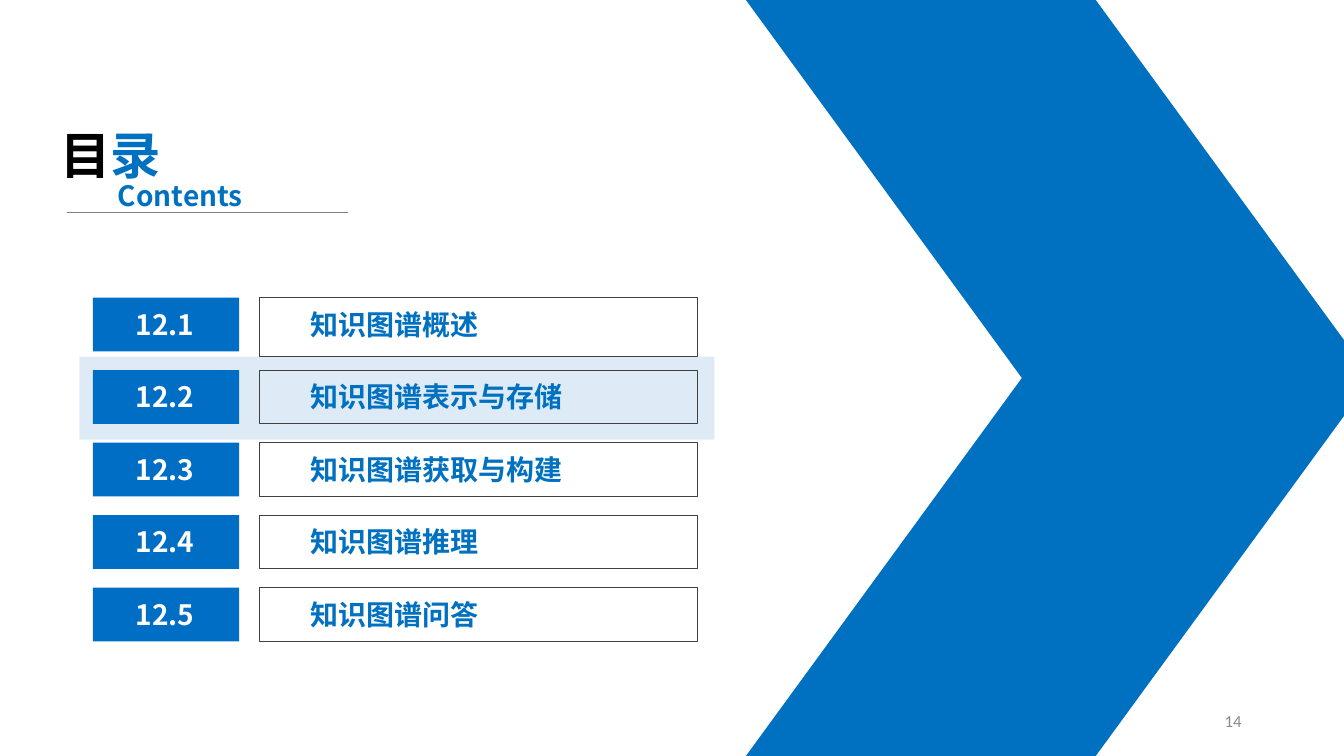
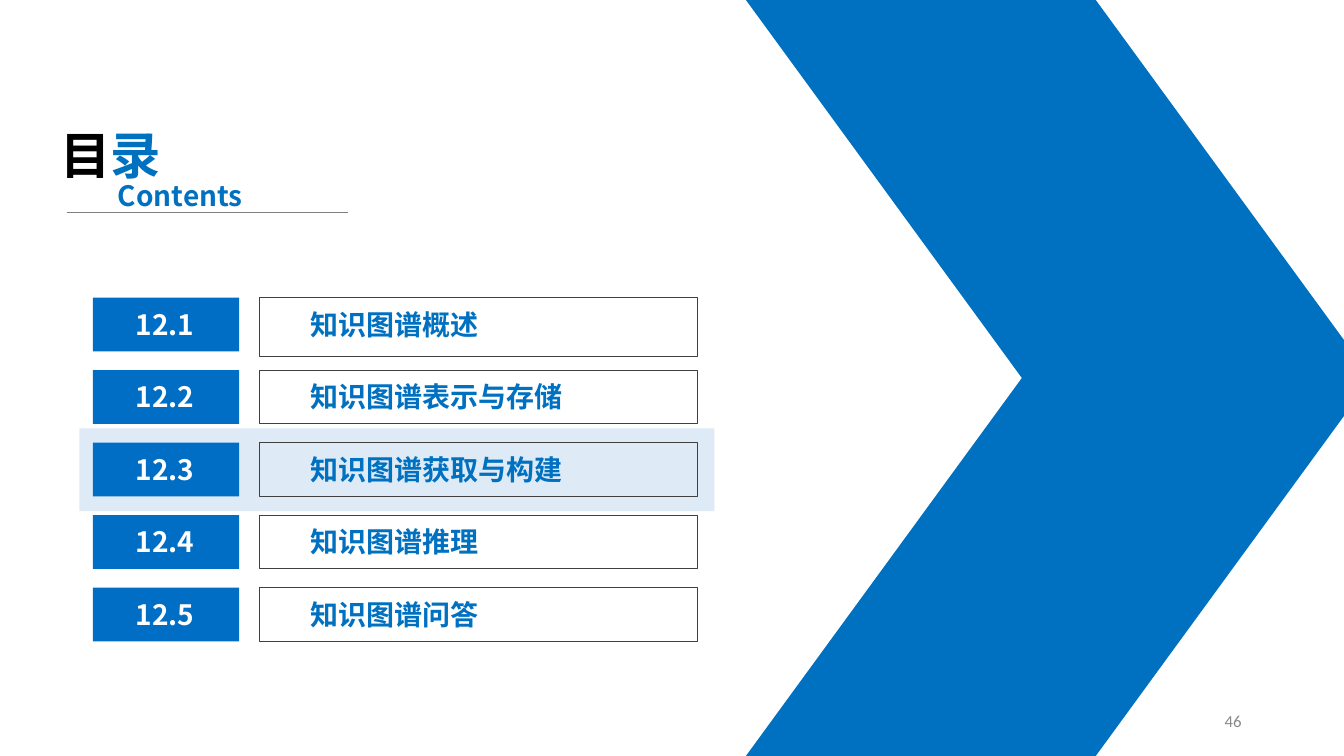
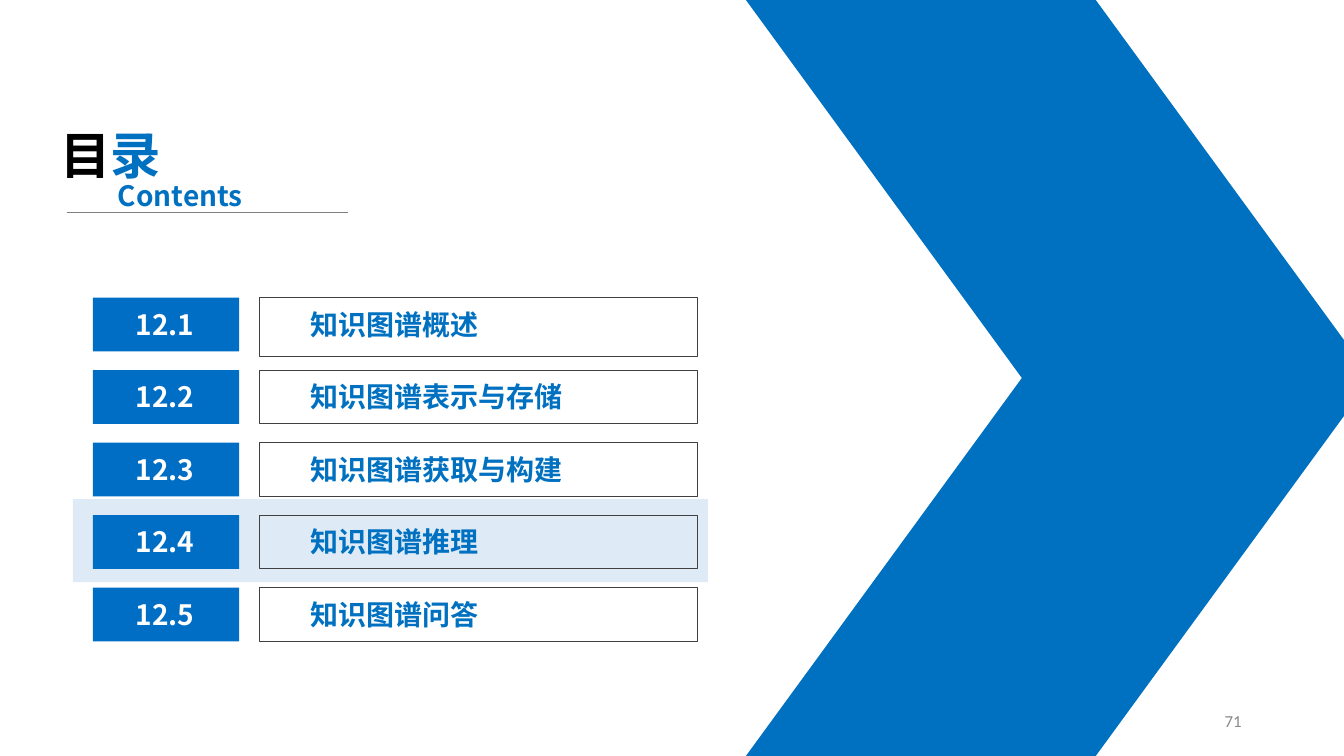
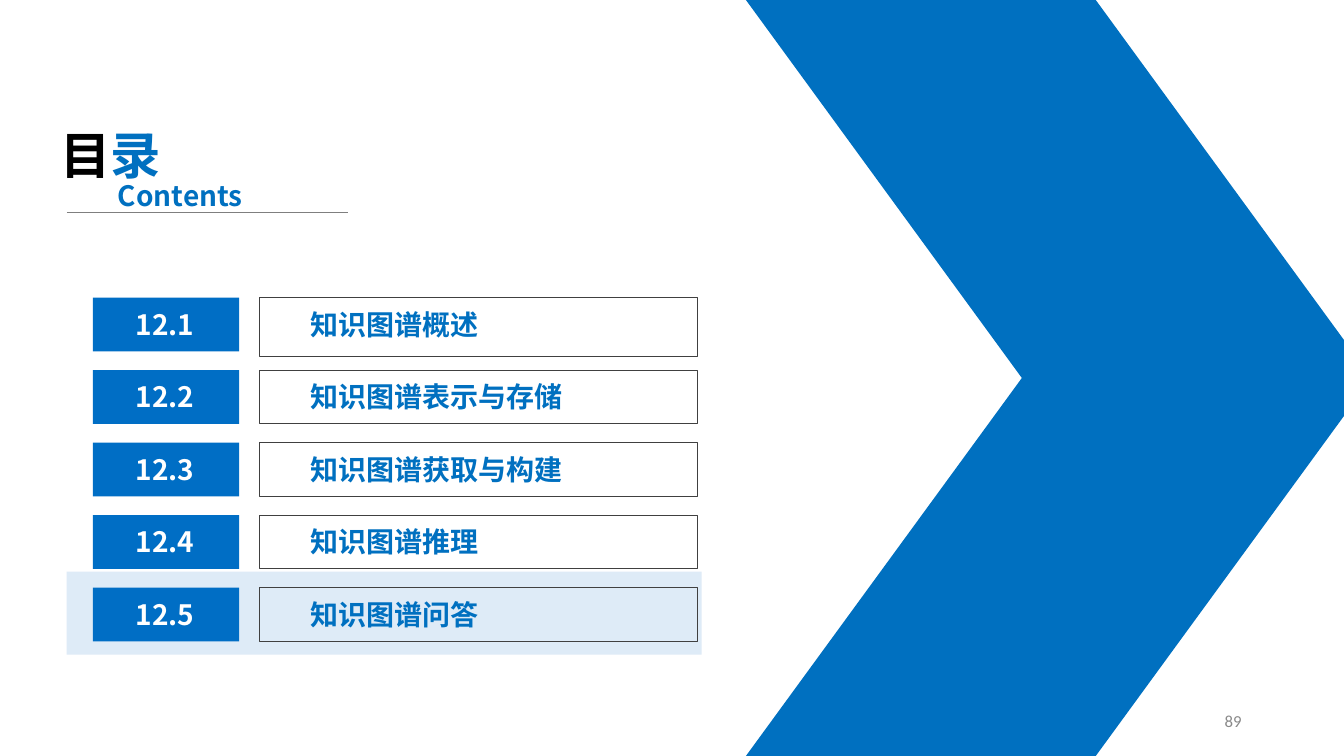
from lxml import etree
from pptx import Presentation
from pptx.dml.color import RGBColor
from pptx.enum.shapes import MSO_CONNECTOR, MSO_SHAPE
from pptx.enum.text import MSO_ANCHOR, MSO_AUTO_SIZE, PP_ALIGN
from pptx.oxml.ns import qn
from pptx.util import Pt

RECTANGLE = MSO_SHAPE.RECTANGLE
PARALLELOGRAM = MSO_SHAPE.PARALLELOGRAM
STRAIGHT = MSO_CONNECTOR.STRAIGHT
LEFT, CENTER, RIGHT = PP_ALIGN.LEFT, PP_ALIGN.CENTER, PP_ALIGN.RIGHT
TOP, MIDDLE = MSO_ANCHOR.TOP, MSO_ANCHOR.MIDDLE
NO_FIT, FIT_SHAPE = MSO_AUTO_SIZE.NONE, MSO_AUTO_SIZE.SHAPE_TO_FIT_TEXT

BLUE = RGBColor(0x00, 0x70, 0xC0)
BADGE_BLUE = RGBColor(0x00, 0x6E, 0xC5)
PALE_BLUE = RGBColor(0xDE, 0xEB, 0xF7)
BLACK = RGBColor(0x00, 0x00, 0x00)
WHITE = RGBColor(0xFF, 0xFF, 0xFF)
FRAME_GRAY = RGBColor(0x40, 0x40, 0x40)
RULE_GRAY = RGBColor(0x7F, 0x7F, 0x7F)
PAGE_GRAY = RGBColor(0x89, 0x89, 0x89)

HEADING_FONT = "Noto Sans CJK SC"
PAGE_FONT = "Calibri"

SLIDE_WIDTH, SLIDE_HEIGHT = 960, 540
FIRST_ROW_TOP, ROW_PITCH = 212.5, 51.8
ROW_HEIGHT = 38.4
FIRST_FRAME_HEIGHT = 42

SECTIONS = [
    "知识图谱概述",
    "知识图谱表示与存储",
    "知识图谱获取与构建",
    "知识图谱推理",
    "知识图谱问答",
]

# Page number, then left and top of the band behind the current section
CONTENTS_PAGES = [
    ("14", 56.8, 254.8),
    ("46", 56.8, 306),
    ("71", 52.1, 356.6),
    ("89", 47.6, 408.4),
]


def add_text(slide, box, *runs, size=20, font=HEADING_FONT, bold=True,
             align=LEFT, anchor=TOP, fit=FIT_SHAPE):
    """Add a one-paragraph text box; each run is a (text, colour) pair."""
    frame = slide.shapes.add_textbox(*map(Pt, box)).text_frame
    frame.word_wrap = True
    frame.auto_size = fit
    frame.vertical_anchor = anchor
    paragraph = frame.paragraphs[0]
    paragraph.alignment = align
    for text, color in runs:
        run = paragraph.add_run()
        run.text = text
        run.font.size = Pt(size)
        run.font.bold = bold
        run.font.color.rgb = color
        run.font.name = font
        east_asian = etree.SubElement(run.font._element, qn("a:ea"))
        east_asian.set("typeface", font)


def add_panel(slide, box, fill=None, line=None, preset=RECTANGLE):
    panel = slide.shapes.add_shape(preset, *map(Pt, box))
    panel.shadow.inherit = False
    if fill is None:
        panel.fill.background()
    else:
        panel.fill.solid()
        panel.fill.fore_color.rgb = fill
    if line is None:
        panel.line.fill.background()
    else:
        panel.line.color.rgb = line
        panel.line.width = Pt(0.75)
    return panel


def add_rule(slide, left, right, y):
    rule = slide.shapes.add_connector(STRAIGHT, Pt(left), Pt(y), Pt(right), Pt(y))
    rule.line.color.rgb = RULE_GRAY
    rule.line.width = Pt(0.5)
    etree.SubElement(rule.element.spPr, qn("a:effectLst"))


def add_chevron(slide):
    """Two mirrored parallelograms meet halfway down and point right."""
    half = SLIDE_HEIGHT / 2
    for top, flipped in ((half, False), (0, True)):
        arm = add_panel(slide, (532.8, top, 447, half), fill=BLUE,
                        preset=PARALLELOGRAM)
        arm.adjustments[0] = 0.73
        if flipped:
            arm.element.spPr.get_or_add_xfrm().set("flipV", "1")


def add_heading(slide):
    add_text(slide, (36, 85, 113, 51), ("目", BLACK), ("录", BLUE), size=36)
    add_rule(slide, 47.8, 248.4, 151.7)
    add_text(slide, (77.2, 124, 113, 31.5), ("Contents", BLUE))


def add_section_row(slide, index, title):
    top = FIRST_ROW_TOP + index * ROW_PITCH
    frame_height = ROW_HEIGHT if index else FIRST_FRAME_HEIGHT
    add_panel(slide, (185.6, top, 312.6, frame_height), line=FRAME_GRAY)
    add_text(slide, (214.4, top + 3.5, 266, 31.5), (title, BLUE))
    add_panel(slide, (66.3, top, 104.6, ROW_HEIGHT), fill=BADGE_BLUE)
    add_text(slide, (80, top + 3.3, 75.6, 31.5), (f"12.{index + 1}", WHITE),
             align=CENTER)


def add_contents_slide(deck, page, band_left, band_top):
    slide = deck.slides.add_slide(deck.slide_layouts[6])
    add_panel(slide, (band_left, band_top, 453.6, 59.2), fill=PALE_BLUE)
    add_chevron(slide)
    add_heading(slide)
    for index, title in enumerate(SECTIONS):
        add_section_row(slide, index, title)
    add_text(slide, (678, 500.5, 216, 28.8), (page, PAGE_GRAY), size=12,
             font=PAGE_FONT, bold=False, align=RIGHT, anchor=MIDDLE, fit=NO_FIT)


def main():
    deck = Presentation()
    deck.slide_width, deck.slide_height = Pt(SLIDE_WIDTH), Pt(SLIDE_HEIGHT)
    for page, band_left, band_top in CONTENTS_PAGES:
        add_contents_slide(deck, page, band_left, band_top)
    deck.save("out.pptx")


if __name__ == "__main__":
    main()
